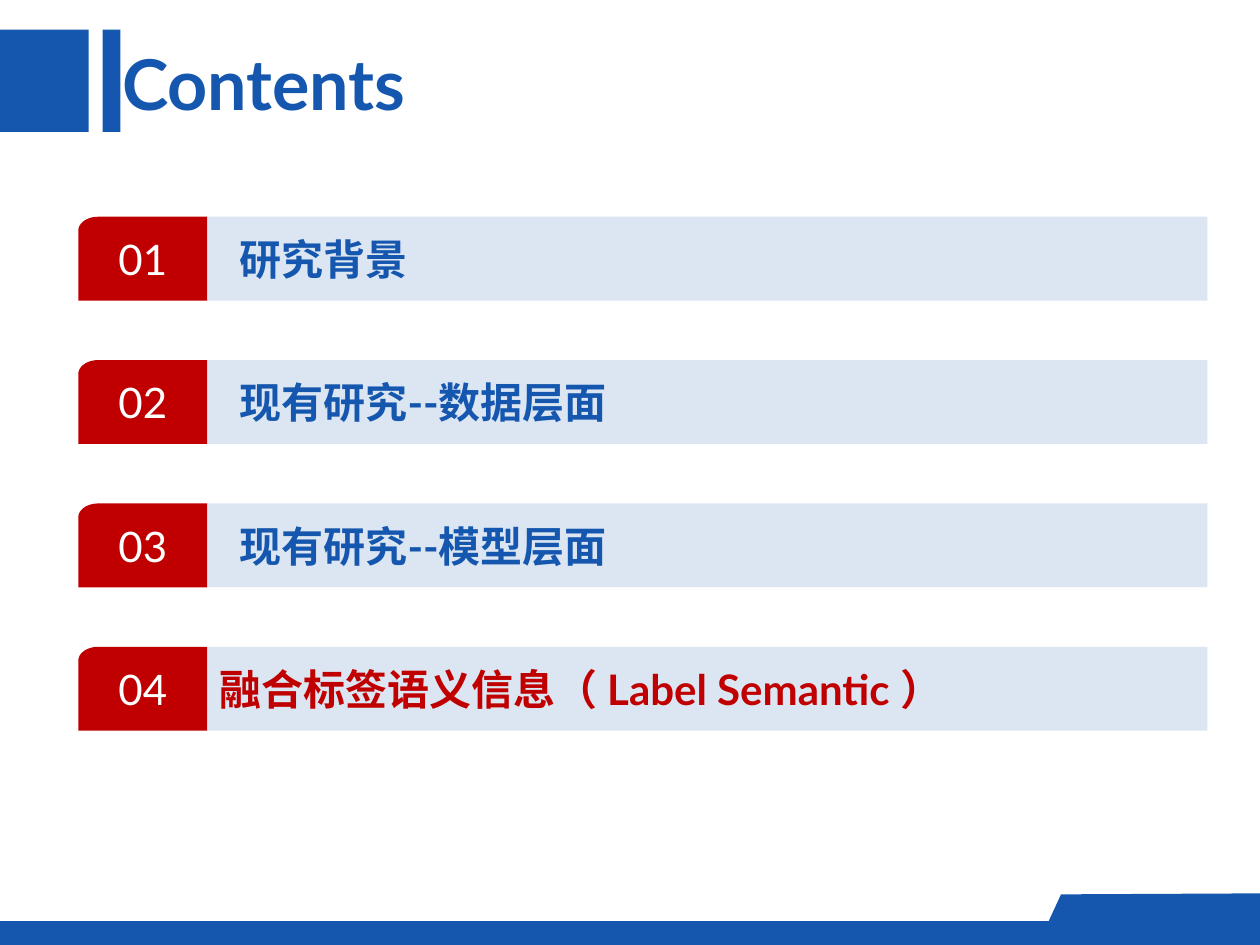
from math import cos, pi, sin

from pptx import Presentation
from pptx.dml.color import RGBColor
from pptx.enum.shapes import MSO_SHAPE as Shape
from pptx.enum.text import MSO_ANCHOR as Anchor, MSO_AUTO_SIZE as AutoSize, PP_ALIGN as Align
from pptx.util import Cm, Pt

COLOURS = {"blue": "1557AE", "red": "C00000", "pale": "DCE6F2", "white": "FFFFFF"}
FONT = "Lato"
WIDTH, HEIGHT = 25.4, 19.05
ITEMS = [
    ("研究背景", "blue", 0.4),
    ("现有研究--数据层面", "blue", 0.4),
    ("现有研究--模型层面", "blue", 0.4),
    ("融合标签语义信息（ Label Semantic ）", "red", 0),
]


def rgb(name):
    return RGBColor.from_string(COLOURS[name])


def paint(shape, colour):
    shape.fill.solid()
    shape.fill.fore_color.rgb = rgb(colour)
    shape.line.fill.background()
    shape.shadow.inherit = False
    return shape


def add_block(page, left, top, width, height, colour):
    box = page.shapes.add_shape(Shape.RECTANGLE, Cm(left), Cm(top), Cm(width), Cm(height))
    return paint(box, colour)


def add_outline(page, points, colour):
    corners = [(Cm(x), Cm(y)) for x, y in points]
    builder = page.shapes.build_freeform(*corners[0], scale=1.0)
    builder.add_line_segments(corners[1:], close=True)
    return paint(builder.convert_to_shape(), colour)


def write(box, text, size=24, colour="blue", bold=False, align=Align.LEFT, inset=0.25):
    frame = box.text_frame
    frame.vertical_anchor = Anchor.MIDDLE
    frame.margin_left = Cm(inset)
    para = frame.paragraphs[0]
    para.alignment = align
    span = para.add_run()
    span.text = text
    span.font.name = FONT
    span.font.size = Pt(size)
    span.font.bold = bold
    span.font.color.rgb = rgb(colour)


def add_header(page, left, top, height):
    add_block(page, left, top, 1.79, height, "blue")
    add_block(page, left + 2.07, top, 0.36, height, "blue")
    title = page.shapes.title
    title.left, title.top = Cm(left + 1.57), Cm(top + 0.09)
    title.width, title.height = Cm(8.23), Cm(1.96)
    title.text_frame.auto_size = AutoSize.NONE
    title.text_frame.word_wrap = False
    write(title, "Contents", size=40, bold=True, inset=0.89)


def add_footer(page, left, top, width, height):
    add_block(page, left, top, width, height, "blue")
    right, base = left + width, top + 0.35
    points = [(right, base), (right, top - 0.56), (right - 4.01, top - 0.54), (right - 4.42, base)]
    add_outline(page, points, "blue")


def add_item(page, left, top, width, height, number, item):
    text, colour, indent = item
    tab_width, radius_x, radius_y, steps = 2.6, 0.4, 0.28, 12
    angles = [pi / 2 * step / steps for step in range(steps + 1)]
    curve = [(left + radius_x * (1 - sin(angle)), top + radius_y * (1 - cos(angle)))
             for angle in angles]
    right, bottom = left + tab_width, top + height
    tab = add_outline(page, [(right, top), *curve, (left, bottom), (right, bottom)], "red")
    write(tab, f"{number:02d}", colour="white", align=Align.CENTER)
    label = add_block(page, right, top, width - tab_width, height, "pale")
    write(label, text, colour=colour, bold=True, inset=0.25 + indent)


def add_contents(page, left, top, width, height, pitch):
    for index, item in enumerate(ITEMS):
        add_item(page, left, top + index * pitch, width, height, index + 1, item)


def main():
    deck = Presentation()
    deck.slide_width, deck.slide_height = Cm(WIDTH), Cm(HEIGHT)
    page = deck.slides.add_slide(deck.slide_layouts[5])
    add_footer(page, 0, 18.57, WIDTH, 0.48)
    add_header(page, 0, 0.6, 2.06)
    add_contents(page, 1.58, 4.37, 22.76, 1.69, 2.89)
    deck.save("out.pptx")


if __name__ == "__main__":
    main()
